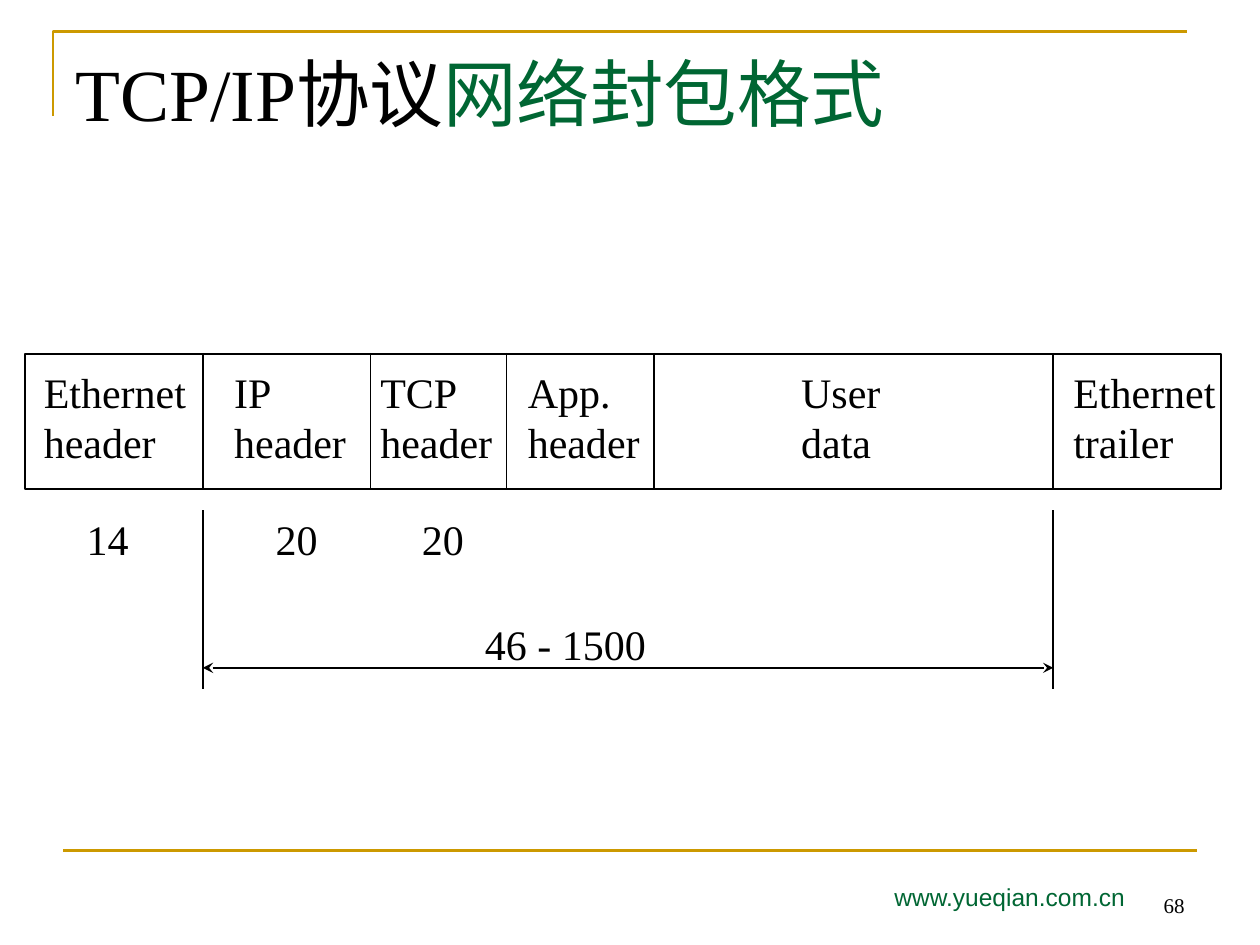
"""Build the slide on the TCP/IP network packet format."""
from dataclasses import dataclass

from lxml.etree import SubElement
from pptx import Presentation
from pptx.dml.color import RGBColor
from pptx.enum.shapes import MSO_CONNECTOR as CONN, MSO_SHAPE as SHAPE
from pptx.enum.text import MSO_ANCHOR as ANCHOR, MSO_AUTO_SIZE as FIT, PP_ALIGN as ALIGN
from pptx.oxml.ns import qn
from pptx.util import Inches, Pt


@dataclass(frozen=True)
class Theme:
    black: RGBColor = RGBColor(0x00, 0x00, 0x00)
    green: RGBColor = RGBColor(0x00, 0x66, 0x33)
    gold: RGBColor = RGBColor(0xCC, 0x99, 0x00)
    serif: str = "Times New Roman"
    sans: str = "Arial"
    title: int = 42
    label: int = 24
    link: int = 14
    number: int = 12
    thin: float = 1
    rule: float = 1.5


T = Theme()


def add_text(text, x, y, w, h, size=T.label, font=T.serif, color=T.black, wrap=False):
    sp = s.shapes.add_textbox(Inches(x), Inches(y), Inches(w), Inches(h))
    tf = sp.text_frame
    tf.text = text
    tf.word_wrap = wrap
    tf.auto_size = FIT.NONE if wrap else FIT.SHAPE_TO_FIT_TEXT
    for p in tf.paragraphs:
        for r in p.runs:
            r.font.size, r.font.name = Pt(size), font
            r.font.color.rgb = color
    return tf


def add_line(x1, y1, x2, y2, color=T.black, width=T.thin):
    ln = s.shapes.add_connector(CONN.STRAIGHT, Inches(x1), Inches(y1), Inches(x2), Inches(y2))
    ln.line.color.rgb = color
    ln.line.width = Pt(width)
    SubElement(ln._element.spPr, qn("a:effectLst"))
    return ln


prs = Presentation()
prs.slide_width, prs.slide_height = Inches(10), Inches(7.5)
s = prs.slides.add_slide(prs.slide_layouts[5])

fb = s.shapes.build_freeform(Inches(0.42), Inches(0.92))
fb.add_line_segments([(Inches(0.42), Inches(0.25)), (Inches(9.42), Inches(0.25))], close=False)
corner = fb.convert_to_shape()
corner.shadow.inherit = False
corner.fill.background()
corner.line.color.rgb = T.gold
corner.line.width = Pt(T.rule)
add_line(0.5, 6.75, 9.5, 6.75, T.gold, T.rule)

title = s.shapes.title
title.left, title.top = Inches(0.5), Inches(0.33)
title.width, title.height = Inches(8.08), Inches(0.41)
tf = title.text_frame
tf.auto_size = FIT.NONE
tf.vertical_anchor = ANCHOR.TOP
p = tf.paragraphs[0]
p.alignment = ALIGN.LEFT
for text, color in (("TCP/IP协议", T.black), ("网络封包格式", T.green)):
    r = p.add_run()
    r.text = text
    r.font.size, r.font.name = Pt(T.title), T.serif
    r.font.color.rgb = color

packet = s.shapes.add_shape(SHAPE.RECTANGLE, Inches(0.2), Inches(2.81), Inches(9.49), Inches(1.07))
packet.shadow.inherit = False
packet.fill.background()
packet.line.color.rgb = T.black
packet.line.width = Pt(T.thin)

fields = [
    ("Ethernet\nheader", 0.25, 1.33),
    ("IP\nheader", 1.76, 1.09),
    ("TCP\nheader", 2.92, 1.09),
    ("App.\nheader", 4.09, 1.09),
    ("User\ndata", 6.26, 0.91),
    ("Ethernet\ntrailer", 8.42, 1.33),
]
for text, x, w in fields:
    add_text(text, x, 2.86, w, 0.9)

dividers = [1.61, 2.94, 4.02, 5.19, 8.36]
for x in dividers:
    add_line(x, 2.8, x, 3.88)

for text, x in (("14", 0.59), ("20", 2.09), ("20", 3.25)):
    add_text(text, x, 4.03, 0.54, 0.5)

start, end = dividers[0], dividers[-1]
for x in (start, end):
    add_line(x, 4.05, x, 5.47)
add_text("46 - 1500", 3.75, 4.86, 1.48, 0.5)
span = add_line(start, 5.3, end, 5.3)
for tag in ("a:headEnd", "a:tailEnd"):
    SubElement(span.line._get_or_add_ln(), qn(tag), type="stealth")

add_text("www.yueqian.com.cn", 7, 6.95, 2.5, 0.4, T.link, T.sans, T.green, wrap=True)
tf = add_text("68", 7.17, 6.83, 2.33, 0.5, T.number, wrap=True)
tf.vertical_anchor = ANCHOR.BOTTOM
tf.paragraphs[0].alignment = ALIGN.RIGHT

prs.save("out.pptx")
